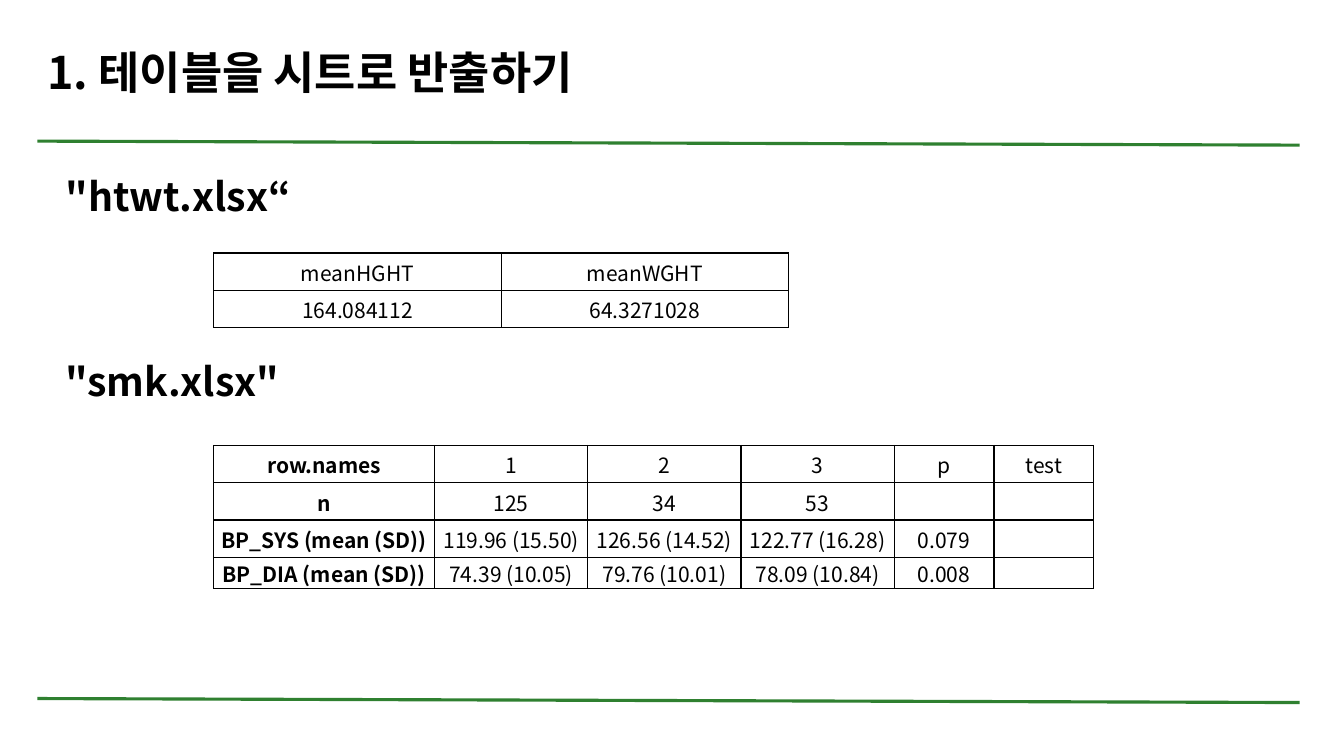
from dataclasses import dataclass

from lxml import etree
from pptx import Presentation
from pptx.dml.color import RGBColor
from pptx.enum.shapes import MSO_CONNECTOR
from pptx.enum.text import MSO_ANCHOR, MSO_AUTO_SIZE, PP_ALIGN
from pptx.oxml.ns import qn
from pptx.util import Pt

STRAIGHT = MSO_CONNECTOR.STRAIGHT
MIDDLE, TOP = MSO_ANCHOR.MIDDLE, MSO_ANCHOR.TOP
LEFT, CENTER = PP_ALIGN.LEFT, PP_ALIGN.CENTER
NO_AUTOFIT = MSO_AUTO_SIZE.NONE
EMU_PER_PX = 9144  # 100 px to the inch


@dataclass(frozen=True)
class Theme:
    font: str = "Noto Sans CJK KR"
    ink: str = "000000"
    rule: str = "2F8030"
    title_size: int = 32
    heading_size: int = 28
    cell_size: int = 15
    rule_width: float = 2.25
    border_width: int = 1


THEME = Theme()

MEANS = [["meanHGHT", "meanWGHT"], ["164.084112", "64.3271028"]]
SMOKING = [
    ["row.names", "1", "2", "3", "p", "test"],
    ["n", "125", "34", "53", "", ""],
    ["BP_SYS (mean (SD))", "119.96 (15.50)", "126.56 (14.52)", "122.77 (16.28)", "0.079", ""],
    ["BP_DIA (mean (SD))", "74.39 (10.05)", "79.76 (10.01)", "78.09 (10.84)", "0.008", ""],
]


def px(length):
    return length * EMU_PER_PX


def apply(target, values):
    for name, value in values.items():
        setattr(target, name, value)


def write(para, text, size, bold, **layout):
    apply(para, layout)
    span = para.add_run()
    span.text = text
    apply(span.font, {"name": THEME.font, "size": Pt(size), "bold": bold})
    span.font.color.rgb = RGBColor.from_string(THEME.ink)
    east_asian = etree.SubElement(span.font._element, qn("a:ea"))
    east_asian.set("typeface", THEME.font)


def place(shape, box, anchor):
    apply(shape, dict(zip(("left", "top", "width", "height"), map(px, box))))
    apply(shape.text_frame, {"word_wrap": True, "auto_size": NO_AUTOFIT,
                             "vertical_anchor": anchor})


def add_rule(page, left, top, width, drop):
    line = page.shapes.add_connector(
        STRAIGHT, px(left), px(top), px(left + width), px(top + drop))
    line.line.width = Pt(THEME.rule_width)
    line.line.color.rgb = RGBColor.from_string(THEME.rule)
    etree.SubElement(line._element.spPr, qn("a:effectLst"))


def add_title(page, box, text):
    title = page.shapes.title
    place(title, box, MIDDLE)
    write(title.text_frame.paragraphs[0], text, THEME.title_size, True,
          alignment=LEFT, line_spacing=0.9)


def add_headings(page, box, headings):
    """Each heading is a text with the space before it in points."""
    body = page.placeholders[1]
    place(body, box, TOP)
    frame = body.text_frame
    for index, (text, gap) in enumerate(headings):
        para = frame.add_paragraph() if index else frame.paragraphs[0]
        write(para, text, THEME.heading_size, True,
              alignment=LEFT, line_spacing=0.9, space_before=Pt(gap))
        properties = para._p.get_or_add_pPr()
        properties.set("marL", "0")
        properties.set("indent", "0")
        etree.SubElement(properties, qn("a:buNone"))


def outline_cell(cell):
    properties = cell._tc.get_or_add_tcPr()
    for position, side in enumerate(("lnL", "lnR", "lnT", "lnB")):
        border = etree.Element(qn(f"a:{side}"), w=str(Pt(THEME.border_width)))
        fill = etree.SubElement(border, qn("a:solidFill"))
        etree.SubElement(fill, qn("a:srgbClr"), val=THEME.ink)
        properties.insert(position, border)


def add_grid(page, left, top, columns, rows, values, bold_first_column=False):
    frame = page.shapes.add_table(len(rows), len(columns), px(left), px(top),
                                  px(sum(columns)), px(sum(rows)))
    table = frame.table
    apply(table, {"first_row": False, "horz_banding": False})
    for column, width in zip(table.columns, columns):
        column.width = px(width)
    for row, height, texts in zip(table.rows, rows, values):
        row.height = px(height)
        for index, (cell, text) in enumerate(zip(row.cells, texts)):
            apply(cell, {"vertical_anchor": MIDDLE, "margin_left": px(1),
                         "margin_right": px(1), "margin_top": px(1),
                         "margin_bottom": 0})
            write(cell.text_frame.paragraphs[0], text, THEME.cell_size,
                  bold_first_column and index == 0, alignment=CENTER)
            cell.fill.background()
            outline_cell(cell)


def build_export_page(deck):
    page = deck.slides.add_slide(deck.slide_layouts[1])
    # Green rules above and below the content
    for top in (140, 693):
        add_rule(page, 37, top, 1252, 4)
    # Title and file names
    add_title(page, (37, 27, 1253, 94), "1. 테이블을 시트로 반출하기")
    add_headings(page, (55, 171, 1278, 476), [('"htwt.xlsx“', 10), ('"smk.xlsx"', 102)])
    # Exported tables
    add_grid(page, 212, 251, [285] * 2, [37] * 2, MEANS)
    add_grid(page, 212, 442, [219] + [152] * 3 + [99] * 2, [37] * 3 + [30],
             SMOKING, bold_first_column=True)


def main():
    deck = Presentation()
    apply(deck, {"slide_width": px(1333), "slide_height": px(750)})
    build_export_page(deck)
    deck.save("out.pptx")


if __name__ == "__main__":
    main()
